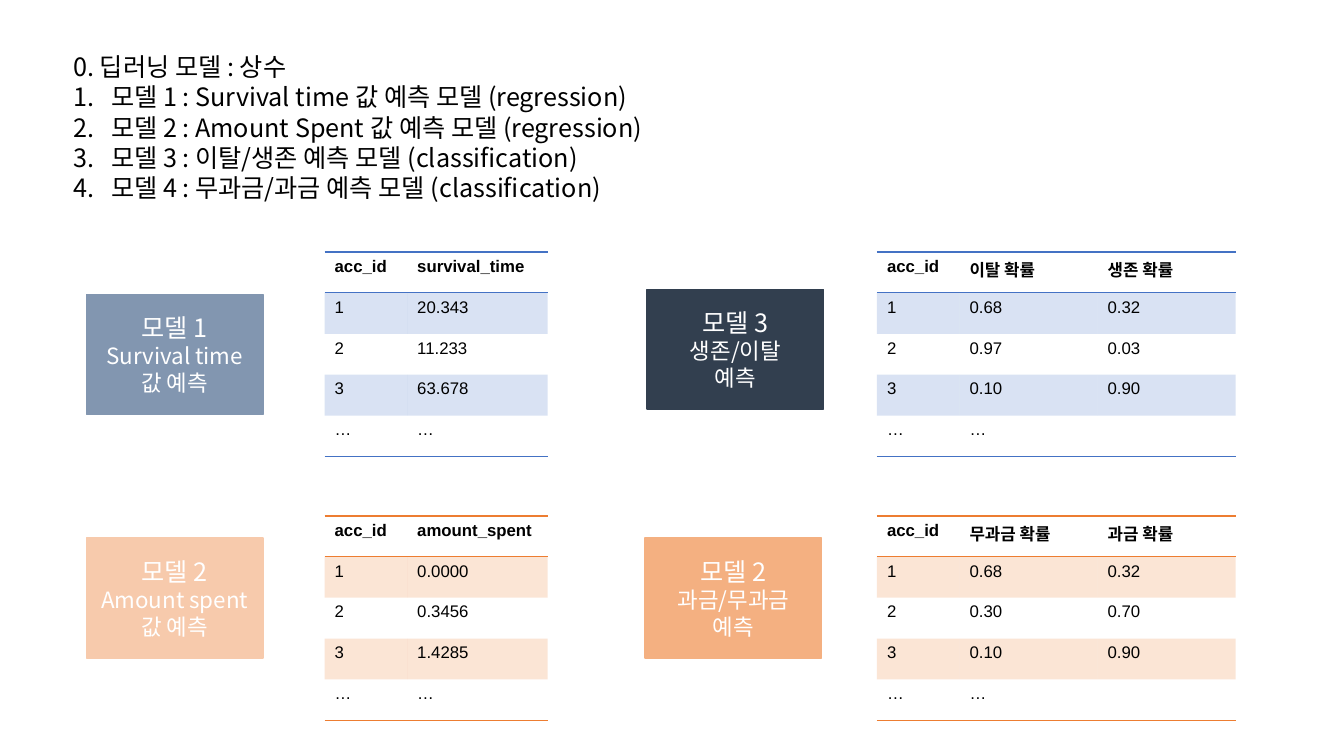
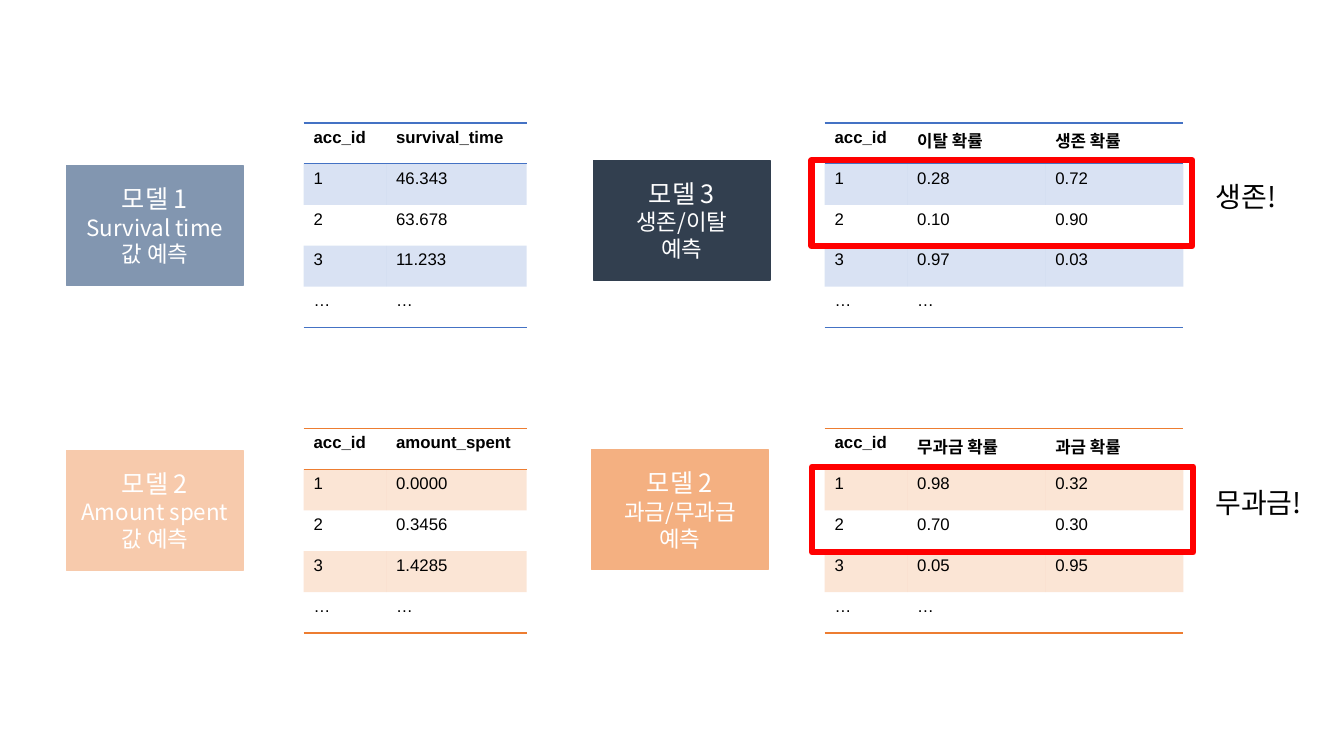
from lxml import etree
from pptx import Presentation
from pptx.dml.color import RGBColor
from pptx.enum.shapes import MSO_SHAPE
from pptx.enum.text import MSO_ANCHOR, PP_ALIGN
from pptx.oxml.ns import qn
from pptx.util import Cm, Pt

RECTANGLE = MSO_SHAPE.RECTANGLE
MIDDLE = MSO_ANCHOR.MIDDLE
LEFT, CENTER = PP_ALIGN.LEFT, PP_ALIGN.CENTER

KOREAN, LATIN = "Noto Sans CJK KR", "Arial"
BLACK, WHITE, RED = "000000", "FFFFFF", "FF0000"
BLUE, ORANGE = "4472C4", "ED7D31"
SLATE, NAVY, PEACH, APRICOT = "8296B0", "323F4F", "F7CAAC", "F4B081"
NO_STYLE = "{2D5ABB26-0587-4C30-8999-92F81FD0307C}"

BOX_SIZE = 4.45, 3.02
FRAME_SIZE = 9.6, 2.16
NARROW, WIDE = (2.08, 3.54), (2.08, 3.48, 3.48)
ROW_HEIGHT = 1.03


def color(value):
    return RGBColor.from_string(value)


class Deck:
    def __init__(self):
        self.file = Presentation()
        self.file.slide_width, self.file.slide_height = Cm(33.87), Cm(19.05)
        self.page = None

    def add_page(self):
        self.page = self.file.slides.add_slide(self.file.slide_layouts[6])

    def fill_para(self, para, text, size, ink=BLACK, font=KOREAN, bold=False, align=LEFT):
        para.text = text
        para.alignment = align
        para.font.size = Pt(size)
        para.font.bold = bold
        para.font.name = font
        para.font.color.rgb = color(ink)
        style = para._p.pPr.find(qn("a:defRPr"))
        etree.SubElement(style, qn("a:ea"), typeface=KOREAN)

    def number(self, para):
        settings = para._p.get_or_add_pPr()
        settings.set("marL", str(Cm(0.95)))
        settings.set("indent", str(Cm(-0.95)))
        bullet = etree.Element(qn("a:buAutoNum"), type="arabicPeriod")
        settings.insert(0, bullet)

    def text(self, left, top, width, height, lines, size):
        box = self.page.shapes.add_textbox(Cm(left), Cm(top), Cm(width), Cm(height))
        frame = box.text_frame
        frame.word_wrap = True
        for index, line in enumerate(lines):
            para = frame.add_paragraph() if index else frame.paragraphs[0]
            self.fill_para(para, line, size)
            if index:
                self.number(para)

    def rectangle(self, left, top, size, line, weight):
        width, height = size
        box = self.page.shapes.add_shape(
            RECTANGLE, Cm(left), Cm(top), Cm(width), Cm(height))
        box.shadow.inherit = False
        box.line.color.rgb = color(line)
        box.line.width = Pt(weight)
        return box

    def model(self, left, top, fill, lines):
        box = self.rectangle(left, top, BOX_SIZE, fill, 1)
        box.fill.solid()
        box.fill.fore_color.rgb = color(fill)
        frame = box.text_frame
        frame.word_wrap = True
        frame.vertical_anchor = MIDDLE
        for index, line in enumerate(lines):
            para = frame.add_paragraph() if index else frame.paragraphs[0]
            self.fill_para(para, line, 16 if index else 18, WHITE, align=CENTER)

    def highlight(self, left, top):
        self.rectangle(left, top, FRAME_SIZE, RED, 4.5).fill.background()

    def border(self, cell, side, accent):
        line = etree.SubElement(cell._tc.get_or_add_tcPr(), qn(side), w=str(Pt(1)))
        fill = etree.SubElement(line, qn("a:solidFill"))
        etree.SubElement(fill, qn("a:srgbClr"), val=accent)

    def tint(self, cell, accent):
        cell.fill.solid()
        cell.fill.fore_color.rgb = color(accent)
        shade = cell._tc.tcPr.find(qn("a:solidFill")).find(qn("a:srgbClr"))
        etree.SubElement(shade, qn("a:alpha"), val="20000")

    def table(self, left, top, widths, accent, rows):
        table = self.page.shapes.add_table(
            len(rows), len(widths), Cm(left), Cm(top),
            Cm(sum(widths)), Cm(ROW_HEIGHT * len(rows))).table
        table.horz_banding = table.first_row = False
        table._tbl.tblPr.find(qn("a:tableStyleId")).text = NO_STYLE
        for column, width in zip(table.columns, widths):
            column.width = Cm(width)
        for r, row in enumerate(rows):
            for c, value in enumerate(row):
                cell = table.cell(r, c)
                self.fill_para(cell.text_frame.paragraphs[0], value, 12,
                               font=LATIN, bold=r == 0)
                if r == 0:
                    self.border(cell, "a:lnT", accent)
                if r in (0, len(rows) - 1):
                    self.border(cell, "a:lnB", accent)
                if r % 2:
                    self.tint(cell, accent)
                else:
                    cell.fill.background()


MODELS = [
    (SLATE, ["모델 1", "Survival time 값 예측"]),
    (NAVY, ["모델 3", "생존/이탈", "예측"]),
    (PEACH, ["모델 2", "Amount spent", "값 예측"]),
    (APRICOT, ["모델 2", "과금/무과금", "예측"]),
]
TABLES = [
    (NARROW, BLUE, ["survival_time"]),
    (WIDE, BLUE, ["이탈 확률", "생존 확률"]),
    (NARROW, ORANGE, ["amount_spent"]),
    (WIDE, ORANGE, ["무과금 확률", "과금 확률"]),
]
SPENT = [["0.0000"], ["0.3456"], ["1.4285"]]


def add_models(deck, box_places, table_lefts, table_tops, results):
    for place, model in zip(box_places, MODELS):
        deck.model(*place, *model)
    corners = [(left, top) for top in table_tops for left in table_lefts]
    for corner, (widths, accent, titles), values in zip(corners, TABLES, results):
        rows = [["acc_id", *titles]]
        rows += [[str(i), *value] for i, value in enumerate(values, 1)]
        rows.append(["…", "…", ""][:len(widths)])
        deck.table(*corner, widths, accent, rows)


def overview(deck):
    deck.add_page()
    deck.text(1.6, 1.17, 21.64, 4.11, [
        "0. 딥러닝 모델 : 상수",
        "모델 1 : Survival time 값 예측 모델 (regression)",
        "모델 2 : Amount Spent 값 예측 모델 (regression)",
        "모델 3 : 이탈/생존 예측 모델 (classification)",
        "모델 4 : 무과금/과금 예측 모델 (classification)",
    ], 18)
    add_models(
        deck,
        [(2.18, 7.42), (16.31, 7.29), (2.18, 13.56), (16.26, 13.56)],
        (8.18, 22.1), (6.35, 13.0),
        [
            [["20.343"], ["11.233"], ["63.678"]],
            [["0.68", "0.32"], ["0.97", "0.03"], ["0.10", "0.90"]],
            SPENT,
            [["0.68", "0.32"], ["0.30", "0.70"], ["0.10", "0.90"]],
        ])


def verdicts(deck):
    deck.add_page()
    add_models(
        deck,
        [(1.68, 4.17), (14.96, 4.04), (1.68, 11.35), (14.91, 11.33)],
        (7.65, 20.78), (3.1, 10.8),
        [
            [["46.343"], ["63.678"], ["11.233"]],
            [["0.28", "0.72"], ["0.10", "0.90"], ["0.97", "0.03"]],
            SPENT,
            [["0.98", "0.32"], ["0.70", "0.30"], ["0.05", "0.95"]],
        ])
    for left, top, verdict in [(20.45, 4.04, "생존!"), (20.47, 11.76, "무과금!")]:
        deck.highlight(left, top)
        deck.text(30.38, top + 0.35, 3.49, 1.12, [verdict], 20)


def main():
    deck = Deck()
    overview(deck)
    verdicts(deck)
    deck.file.save("out.pptx")


if __name__ == "__main__":
    main()
